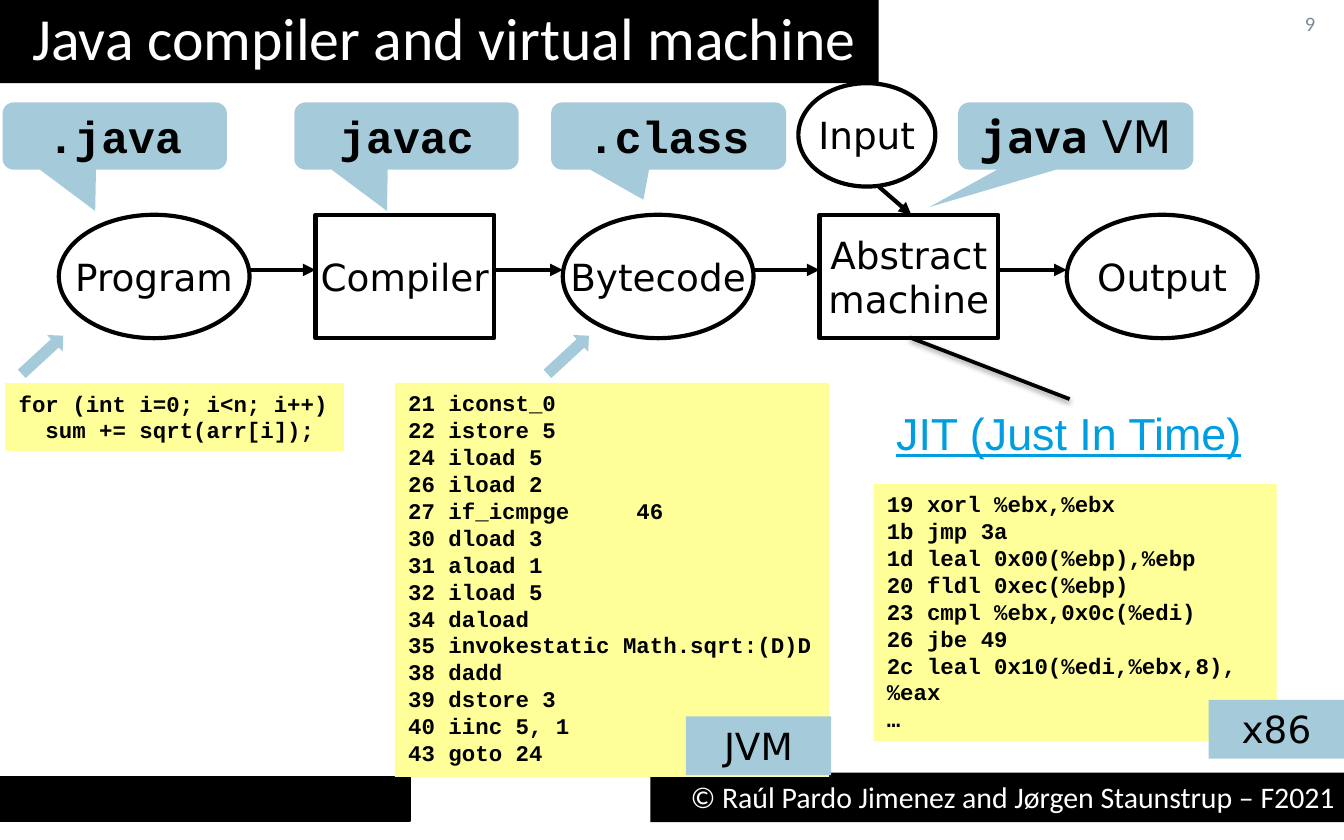
from lxml import etree
from pptx import Presentation
from pptx.dml.color import RGBColor
from pptx.enum.shapes import MSO_CONNECTOR, MSO_SHAPE
from pptx.enum.text import MSO_ANCHOR, MSO_AUTO_SIZE, PP_ALIGN
from pptx.oxml.ns import qn
from pptx.util import Pt

RECT, OVAL = MSO_SHAPE.RECTANGLE, MSO_SHAPE.OVAL
CALL, ARROW = MSO_SHAPE.ROUNDED_RECTANGULAR_CALLOUT, MSO_SHAPE.RIGHT_ARROW
LEFT, MID, RIGHT = PP_ALIGN.LEFT, PP_ALIGN.CENTER, PP_ALIGN.RIGHT
TOP, CENTRE = MSO_ANCHOR.TOP, MSO_ANCHOR.MIDDLE
HEX = {"black": "000000", "white": "FFFFFF", "blue": "A5CBDA",
       "yellow": "FFFF99", "link": "009EE0", "grey": "778A95"}
MONO, SANS, HEAD = "Courier New", "DejaVu Sans", "Calibri"

SOURCE = """for (int i=0; i<n; i++)
  sum += sqrt(arr[i]);"""
BYTES = """21 iconst_0
22 istore 5
24 iload 5
26 iload 2
27 if_icmpge     46
30 dload 3
31 aload 1
32 iload 5
34 daload
35 invokestatic Math.sqrt:(D)D
38 dadd
39 dstore 3
40 iinc 5, 1
43 goto 24"""
NATIVE = """19 xorl %ebx,%ebx
1b jmp 3a
1d leal 0x00(%ebp),%ebp
20 fldl 0xec(%ebp)
23 cmpl %ebx,0x0c(%edi)
26 jbe 49
2c leal 0x10(%edi,%ebx,8),%eax
…"""


def color(name):
    return RGBColor.from_string(HEX[name])


def text(shape, words, size=20, face=SANS, ink="black", bold=False, under=False,
         align=MID, anchor=CENTRE, wrap=True, inset=(7.2, 3.6, 7.2, 3.6), add=False):
    """Fill a shape with one paragraph a line, or add a run to its last line."""
    frame = shape.text_frame
    if not add:
        frame.auto_size = MSO_AUTO_SIZE.NONE
        frame.word_wrap, frame.vertical_anchor = wrap, anchor
        (frame.margin_left, frame.margin_top,
         frame.margin_right, frame.margin_bottom) = map(Pt, inset)
    for i, line in enumerate(words.split("\n")):
        par = frame.paragraphs[-1] if add or i == 0 else frame.add_paragraph()
        par.alignment = align
        run = par.add_run()
        run.text = line
        font = run.font
        font.size, font.name, font.bold, font.underline = Pt(size), face, bold, under
        font.color.rgb = color(ink)


def shape(slide, kind, box, fill=None, edge=0):
    item = slide.shapes.add_shape(kind, *map(Pt, box))
    item.shadow.inherit = False
    if fill:
        item.fill.solid()
        item.fill.fore_color.rgb = color(fill)
    else:
        item.fill.background()
    if edge:
        item.line.color.rgb = color("black")
        item.line.width = Pt(edge)
    else:
        item.line.fill.background()
    return item


def link(slide, ends, width=2.25, arrow=True):
    line = slide.shapes.add_connector(MSO_CONNECTOR.STRAIGHT, *map(Pt, ends))
    line.line.color.rgb = color("black")
    line.line.width = Pt(width)
    if arrow:
        etree.SubElement(line.line._get_or_add_ln(), qn("a:tailEnd"), type="triangle")
    effect = etree.SubElement(line._element.spPr, qn("a:effectLst"))
    if not arrow:
        cast = etree.SubElement(effect, qn("a:outerShdw"), blurRad=str(Pt(3.1)),
                                dist=str(Pt(1.6)), dir="5400000", rotWithShape="0")
        tint = etree.SubElement(cast, qn("a:srgbClr"), val=HEX["black"])
        etree.SubElement(tint, qn("a:alpha"), val="38000")


def label(slide, box, words, **form):
    item = slide.shapes.add_textbox(*map(Pt, box))
    text(item, words, **form)


def header(slide, box):
    title = slide.shapes.title
    title.left, title.top, title.width, title.height = map(Pt, box)
    title.fill.solid()
    title.fill.fore_color.rgb = color("black")
    text(title, "Java compiler and virtual machine", size=32, face=HEAD, ink="white",
         align=LEFT, wrap=False, inset=(17.3, 0, 7.2, 5.8))
    label(slide, (699, 3.6, 18, 17.3), "9", size=11, face=HEAD, ink="grey",
          align=LEFT, inset=(0, 0, 0, 0))


def footer(slide, box):
    x, y, w, h = box
    shape(slide, RECT, (x, y + 2.2, 219.6, 23.8), "black", 1)
    bar = shape(slide, RECT, (x + 348.5, y, w - 348.5, h), "black")
    text(bar, "© Raúl Pardo Jimenez and Jørgen Staunstrup – F2021", size=16, face=HEAD,
         ink="white", align=RIGHT, anchor=TOP)


def flow(slide, box):
    """Ovals for data and squares for tools, joined by arrows."""
    x, y, w, h = box
    names = ["Program", "Compiler", "Bytecode", "Abstract\nmachine", "Output"]
    last = None
    for i, name in enumerate(names):
        kind, shift, wide = [(OVAL, 0, 102.2), (RECT, 137.5, 95.8)][i % 2]
        left = x + i // 2 * 270 + shift
        text(shape(slide, kind, (left, y, wide, h), edge=2.25), name, wrap=False)
        if last:
            link(slide, (last + 0.7, y + 29.5, left, y + 29.5))
        last = left + wide
    # Input to the machine
    oval = shape(slide, OVAL, (427.7, 44.6, 73.4, 55.4), edge=2.25)
    text(oval, "Input", wrap=False)
    link(slide, (470.9, 100.1, 488.2, y))


def calls(slide, box):
    """Row of callouts that name the files and programs."""
    x, y, w, h = box
    items = [(0, 120.2, ".java", -0.087, 1.115), (156.3, 120.2, "javac", -0.087, 1.115),
             (293.8, 126, ".class", -0.107, 0.948), (511.9, 126, "java", -0.624, 1.059)]
    for shift, wide, name, tipx, tipy in items:
        item = shape(slide, CALL, (x + shift, y, wide, h), "blue")
        item.adjustments[0], item.adjustments[1] = tipx, tipy
        last = name == "java"
        text(item, name, size=24, face="Noto Sans Mono" if last else MONO, bold=True)
        if last:
            text(item, " VM", size=24, add=True)


def code(slide, box, words, tag=None, spot=None, wrap=False):
    """Listing with an optional tag at its corner."""
    text(shape(slide, RECT, box, "yellow"), words, size=12, face=MONO, bold=True,
         align=LEFT, anchor=TOP, wrap=wrap)
    if tag:
        text(shape(slide, RECT, spot, "blue"), tag, anchor=TOP)


def jit(slide, box):
    x, y, w, h = box
    label(slide, box, "JIT (Just In Time)", size=24, face="Arial", ink="link",
          under=True, align=LEFT, anchor=TOP, wrap=False)
    link(slide, (x + 100, y, x + 14.4, y - 33), width=2, arrow=False)


def main():
    deck = Presentation()
    deck.slide_width, deck.slide_height = Pt(720), Pt(450)
    slide = deck.slides.add_slide(deck.slide_layouts[5])
    footer(slide, (0, 413.9, 722.5, 26.6))
    header(slide, (0, 0, 470.7, 44.6))
    flow(slide, (31.5, 115.1, 641.9, 66.1))
    calls(slide, (1.4, 54.9, 637.9, 36))
    # Listings and the arrows that tie them to the flow
    code(slide, (2.9, 205.2, 181.4, 36.3), SOURCE)
    code(slide, (211.6, 205.2, 232.6, 211), BYTES, "JVM", (367.4, 383.8, 77.8, 31.5))
    for left in (7.7, 289.3):
        shape(slide, ARROW, (left, 184, 30.2, 12.2), "blue").rotation = 317.3
    jit(slide, (473, 213.8, 200.2, 36))
    code(slide, (468, 259.2, 216, 138), NATIVE, "x86", (647.5, 375, 72.7, 31.5), wrap=True)
    deck.save("out.pptx")


if __name__ == "__main__":
    main()
